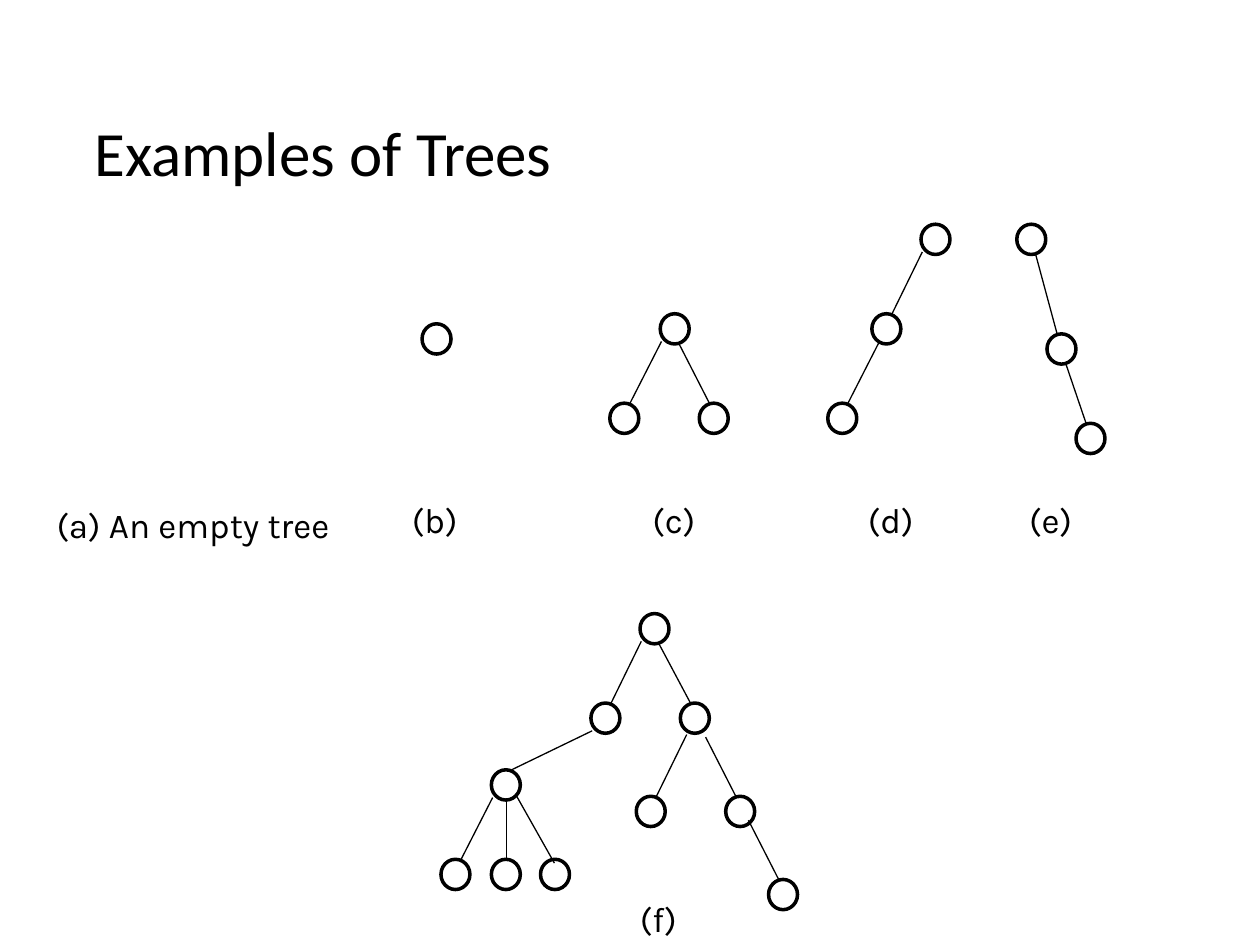
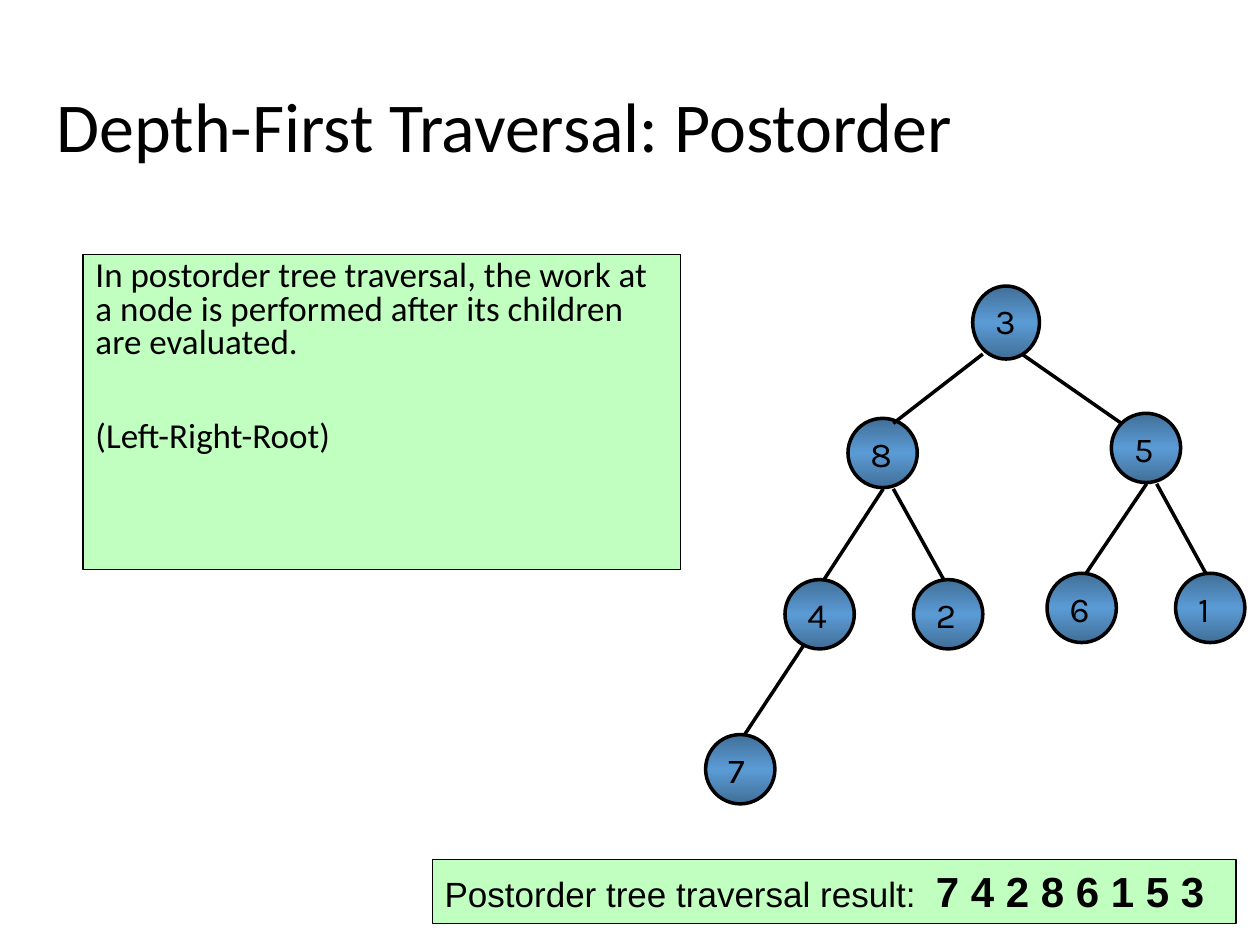
from dataclasses import dataclass

from lxml import etree
from pptx import Presentation
from pptx.dml.color import RGBColor
from pptx.enum.shapes import MSO_CONNECTOR, MSO_SHAPE
from pptx.enum.text import MSO_ANCHOR, MSO_AUTO_SIZE, PP_ALIGN
from pptx.oxml.ns import qn
from pptx.util import Emu, Pt

SCALE = 9144
SLIDE_WIDTH, SLIDE_HEIGHT = 1000, 750
BLANK_LAYOUT = 6
OVAL, RECTANGLE = MSO_SHAPE.OVAL, MSO_SHAPE.RECTANGLE
STRAIGHT = MSO_CONNECTOR.STRAIGHT
TOP, MIDDLE = MSO_ANCHOR.TOP, MSO_ANCHOR.MIDDLE
LEFT = PP_ALIGN.LEFT
FIT_SHAPE = MSO_AUTO_SIZE.SHAPE_TO_FIT_TEXT

BLACK, GREEN = "000000", "C1FFC1"
NODE_GRADIENT = ((0, "416F98"), (50, "5B9BD5"), (100, "416F98"))
TITLE_FONT, LABEL_FONT, RESULT_FONT = "Calibri", "Karla", "Arial"
BODY_SIZE = 20


@dataclass
class Node:
    """A tree node; leave and enter are edge ends measured from node corners."""
    x: int
    y: int
    parent: str = ""
    leave: tuple = ()
    enter: tuple = ()
    size: tuple = ()


@dataclass
class TreeStyle:
    """The look of a tree, with edge ends for left, straight and right children."""
    size: tuple
    edge_width: float
    leave: dict
    enter: dict
    gradient: tuple = ()
    labelled: bool = False


PLAIN = TreeStyle((23, 24), 0.75,
                  {-1: (1, 22), 0: (12, 24), 1: (15, 24)},
                  {-1: (16, 0), 0: (12, 0), 1: (8, 0)})
NUMBERED = TreeStyle((55, 55), 2,
                     {-1: (28, 56), 1: (36, 56)},
                     {-1: (31, 0), 1: (24, 0)},
                     NODE_GRADIENT, True)

EXAMPLES = (
    (335, 257, {"root": Node(0, 0)}),
    (484, 249, {"root": Node(40, 0), "left": Node(0, 71, "root"),
                "right": Node(71, 71, "root")}),
    (657, 178, {"root": Node(74, 0), "middle": Node(35, 71, "root"),
                "leaf": Node(0, 142, "middle", (6, 22))}),
    (807, 178, {"root": Node(0, 0), "middle": Node(24, 87, "root"),
                "leaf": Node(47, 158, "middle")}),
    (350, 487, {
        "root": Node(158, 0),
        "left": Node(119, 71, "root"),
        "right": Node(190, 71, "root"),
        "branch": Node(40, 124, "left"),
        "first": Node(0, 195, "branch"),
        "second": Node(40, 195, "branch"),
        "third": Node(79, 195, "branch", (19, 19), (11, 3)),
        "inner": Node(155, 145, "right", (5, 25)),
        "outer": Node(226, 145, "right", (20, 27)),
        "last": Node(260, 211, "outer", (18, 19)),
    }),
)
EXAMPLE_LABELS = (
    ("(a) An empty tree", 35, 395, 239), ("(b)", 317, 391, 65),
    ("(c)", 508, 391, 63), ("(d)", 679, 391, 65),
    ("(e)", 807, 391, 65), ("(f)", 498, 707, 59),
)
POSTORDER_TREE = {
    "3": Node(212, 0, size=(53, 58)),
    "8": Node(113, 105, "3", (8, 54), (36, 4)),
    "5": Node(322, 101, "3", (39, 54), (8, 8)),
    "4": Node(63, 233, "8"),
    "2": Node(165, 233, "8"),
    "6": Node(271, 228, "5"),
    "1": Node(373, 228, "5"),
    "7": Node(0, 356, "4", (15, 52)),
}


def px(length):
    """Turn px into EMU."""
    return Emu(length * SCALE)


def colour(value):
    """Turn a hex string into a colour."""
    return RGBColor.from_string(value)


def add_run(paragraph, text, size, font, bold=False):
    """Add one black run to a paragraph."""
    run = paragraph.add_run()
    run.text = text
    run.font.size = Pt(size)
    run.font.name = font
    run.font.bold = bold
    run.font.color.rgb = colour(BLACK)


def add_text(slide, box, text, size, font, wrap=True, anchor=TOP):
    """Add a one-paragraph text box and return its frame."""
    frame = slide.shapes.add_textbox(*map(px, box)).text_frame
    frame.word_wrap = wrap
    frame.vertical_anchor = anchor
    add_run(frame.paragraphs[0], text, size, font)
    return frame


def add_title(slide, top, text, size, indent=10):
    """Add the slide title, centred vertically in its box."""
    frame = add_text(slide, (35, top, 965, 160), text, size, TITLE_FONT, anchor=MIDDLE)
    frame.margin_left = px(indent)
    frame.paragraphs[0].line_spacing = 0.9


def add_label(slide, left, top, width, text, wrap=False):
    """Add a label in the label font."""
    frame = add_text(slide, (left, top, width, 43), text, BODY_SIZE, LABEL_FONT, wrap)
    frame.auto_size = FIT_SHAPE


def add_outlined(slide, kind, box, line_width):
    """Add an unfilled shape with a black outline."""
    shape = slide.shapes.add_shape(kind, *map(px, box))
    shape.shadow.inherit = False
    shape.fill.background()
    shape.line.color.rgb = colour(BLACK)
    shape.line.width = Pt(line_width)
    return shape


def add_panel(slide, box):
    """Add a green panel and return its text frame."""
    shape = add_outlined(slide, RECTANGLE, box, 0.75)
    shape.fill.solid()
    shape.fill.fore_color.rgb = colour(GREEN)
    frame = shape.text_frame
    frame.word_wrap = True
    frame.vertical_anchor = TOP
    frame.paragraphs[0].alignment = LEFT
    return frame


def fill_gradient(shape, stops):
    """Fill a shape with a vertical gradient of the given stops."""
    shape.fill.gradient()
    shape.fill.gradient_angle = 270
    stop_list = shape.element.spPr.find(".//" + qn("a:gsLst"))
    for old_stop in list(stop_list):
        stop_list.remove(old_stop)
    for position, value in stops:
        stop = etree.SubElement(stop_list, qn("a:gs"), pos=str(position * 1000))
        etree.SubElement(stop, qn("a:srgbClr"), val=value)


def add_edge(slide, start, end, width):
    """Draw a black line between two points."""
    connector = slide.shapes.add_connector(STRAIGHT, *map(px, start + end))
    connector.line.color.rgb = colour(BLACK)
    connector.line.width = Pt(width)
    etree.SubElement(connector.element.spPr, qn("a:effectLst"))


def add_tree(slide, left, top, nodes, style):
    """Draw the nodes of a tree from its top left corner, then its edges."""
    for name, node in nodes.items():
        x, y = left + node.x, top + node.y
        shape = add_outlined(slide, OVAL, (x, y, *(node.size or style.size)), 2)
        if style.gradient:
            fill_gradient(shape, style.gradient)
        if style.labelled:
            add_label(slide, x + 8, y + 6, 39, name, wrap=True)
    for node in nodes.values():
        if node.parent:
            parent = nodes[node.parent]
            side = (node.x > parent.x) - (node.x < parent.x)
            leave_x, leave_y = node.leave or style.leave[side]
            enter_x, enter_y = node.enter or style.enter[side]
            start = (left + parent.x + leave_x, top + parent.y + leave_y)
            end = (left + node.x + enter_x, top + node.y + enter_y)
            add_edge(slide, start, end, style.edge_width)


def add_explanation(slide, box):
    """Add the panel that explains the traversal."""
    frame = add_panel(slide, box)
    definition = frame.paragraphs[0]
    add_run(definition, "In postorder tree traversal, the work at a node is performed "
            "after its children are evaluated.", BODY_SIZE, TITLE_FONT)
    order = frame.add_paragraph()
    order.alignment = LEFT
    order.space_before = Pt(34.5)
    add_run(order, "(Left-Right-Root)", BODY_SIZE, TITLE_FONT)
    for paragraph in frame.paragraphs:
        paragraph.line_spacing = 0.8


def add_result(slide, box):
    """Add the panel with the visiting order after a tab stop."""
    frame = add_panel(slide, box)
    frame.auto_size = FIT_SHAPE
    paragraph = frame.paragraphs[0]
    properties = paragraph._p.get_or_add_pPr()
    tabs = etree.SubElement(properties, qn("a:tabLst"))
    etree.SubElement(tabs, qn("a:tab"), pos=str(px(390)), algn="l")
    add_run(paragraph, "Postorder tree traversal result:\t", BODY_SIZE, RESULT_FONT)
    add_run(paragraph, "7 4 2 8 6 1 5 3", 24, RESULT_FONT, bold=True)


def build_examples(slide):
    """Build the slide with example trees."""
    add_title(slide, 44, "Examples of Trees", 36, indent=40)
    for left, top, nodes in EXAMPLES:
        add_tree(slide, left, top, nodes, PLAIN)
    for text, left, top, width in EXAMPLE_LABELS:
        add_label(slide, left, top, width, text)


def build_postorder(slide):
    """Build the slide on postorder traversal."""
    add_title(slide, 23, "Depth-First Traversal: Postorder", 40)
    add_explanation(slide, (66, 202, 474, 250))
    add_tree(slide, 560, 227, POSTORDER_TREE, NUMBERED)
    add_result(slide, (343, 682, 638, 51))


def main():
    """Build and save the presentation."""
    presentation = Presentation()
    presentation.slide_width = px(SLIDE_WIDTH)
    presentation.slide_height = px(SLIDE_HEIGHT)
    for build in (build_examples, build_postorder):
        build(presentation.slides.add_slide(presentation.slide_layouts[BLANK_LAYOUT]))
    presentation.save("out.pptx")


if __name__ == "__main__":
    main()
